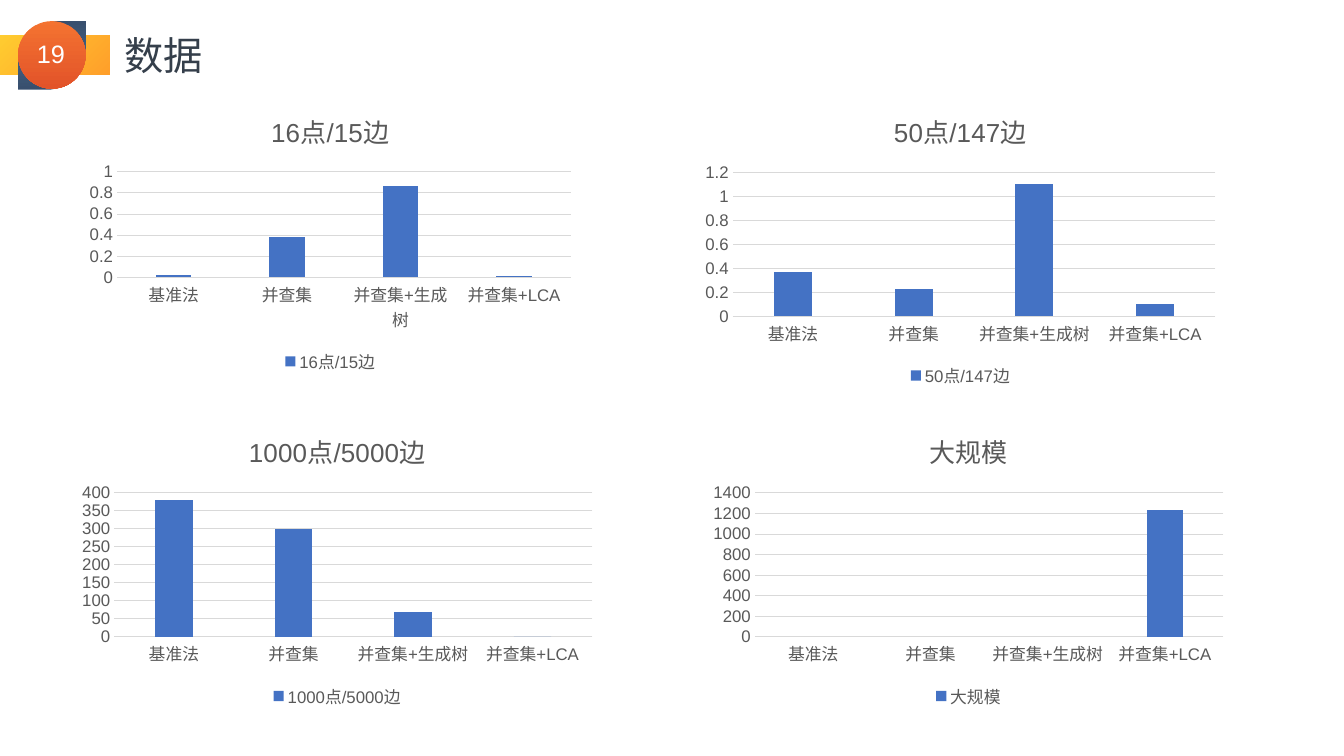
import pptx
import pptx.chart.data
import pptx.dml.color
import pptx.enum.chart
import pptx.enum.shapes
import pptx.enum.text
import pptx.oxml.ns
import pptx.util
from lxml import etree

Inches = pptx.util.Inches
Pt = pptx.util.Pt
Shape = pptx.enum.shapes.MSO_SHAPE
Align = pptx.enum.text.PP_ALIGN


def color(value):
    return pptx.dml.color.RGBColor.from_string(value)


class DataSlide:
    LATIN = "Arial"
    CHINESE = "Noto Sans CJK SC"
    TITLE = "353F4B"
    CHART_TEXT = "595959"
    GRID = "D9D9D9"
    BAR = "4472C4"

    def __init__(self, presentation):
        self.slide = presentation.slides.add_slide(presentation.slide_layouts[5])

    def style_font(self, font, size, ink, name=LATIN):
        font.size = Pt(size)
        font.name = name
        font.bold = False
        font.color.rgb = color(ink)

    def set_text(self, holder, box, text, size, ink, name, align):
        holder.left, holder.top, holder.width, holder.height = map(Inches, box)
        frame = holder.text_frame
        frame.word_wrap = False
        frame.auto_size = pptx.enum.text.MSO_AUTO_SIZE.NONE
        frame.vertical_anchor = pptx.enum.text.MSO_ANCHOR.MIDDLE
        paragraph = frame.paragraphs[0]
        paragraph.alignment = align
        run = paragraph.add_run()
        run.text = text
        self.style_font(run.font, size, ink, name)
        east_asian = etree.SubElement(run.font._element, pptx.oxml.ns.qn("a:ea"))
        east_asian.set("typeface", self.CHINESE)

    def title(self, box, text):
        self.set_text(self.slide.shapes.title, box, text, 28, self.TITLE, self.CHINESE, Align.LEFT)

    def page_number(self, box, text):
        holder = self.slide.shapes.add_textbox(*map(Inches, box))
        self.set_text(holder, box, text, 18, "FFFFFF", self.LATIN, Align.CENTER)

    def group(self):
        return self.slide.shapes.add_group_shape().shapes

    def gradient_shape(self, shapes, kind, box, colors, angle, rotation=0):
        shape = shapes.add_shape(kind, *map(Inches, box))
        shape.rotation = rotation
        shape.shadow.inherit = False
        shape.line.fill.background()
        shape.fill.gradient()
        shape.fill.gradient_angle = 360 - angle
        for stop, value in zip(shape.fill.gradient_stops, colors):
            stop.color.rgb = color(value)

    def column_chart(self, box, name, categories, values):
        data = pptx.chart.data.CategoryChartData()
        data.categories = categories
        data.add_series(name, values)
        kind = pptx.enum.chart.XL_CHART_TYPE.COLUMN_CLUSTERED
        chart = self.slide.shapes.add_chart(kind, *map(Inches, box), data).chart
        self.style_font(chart.font, 10, "000000")

        heading = chart.chart_title.text_frame.paragraphs[0].add_run()
        heading.text = name
        self.style_font(heading.font, 18.6, self.CHART_TEXT)

        chart.has_legend = True
        chart.legend.position = pptx.enum.chart.XL_LEGEND_POSITION.BOTTOM
        chart.legend.include_in_layout = False
        self.style_font(chart.legend.font, 12, self.CHART_TEXT)

        for axis in (chart.category_axis, chart.value_axis):
            axis.major_tick_mark = pptx.enum.chart.XL_TICK_MARK.NONE
            axis.minor_tick_mark = pptx.enum.chart.XL_TICK_MARK.NONE
            self.style_font(axis.tick_labels.font, 12, self.CHART_TEXT)
        chart.value_axis.format.line.fill.background()
        chart.value_axis.has_major_gridlines = True
        for line in (chart.category_axis.format.line, chart.value_axis.major_gridlines.format.line):
            line.color.rgb = color(self.GRID)
            line.width = Pt(0.75)

        plot = chart.plots[0]
        plot.gap_width = 219
        plot.overlap = -27
        plot.vary_by_categories = False
        fill = plot.series[0].format.fill
        fill.solid()
        fill.fore_color.rgb = color(self.BAR)


def main():
    presentation = pptx.Presentation()
    presentation.slide_width = Inches(13.33)
    presentation.slide_height = Inches(7.5)
    page = DataSlide(presentation)

    ribbon = ("FFCC30", "FF9F2A")
    navy = ("384F6E", "4A6C90")
    orange = ("F47331", "E25329")
    page.gradient_shape(page.slide.shapes, Shape.RECTANGLE, (0, 0.35, 1.09, 0.39), ribbon, 45)
    badge = page.group()
    page.gradient_shape(badge, Shape.TEAR, (0.28, 0.21, 0.58, 0.58), navy, 90)
    page.gradient_shape(badge, Shape.TEAR, (0.18, 0.31, 0.58, 0.58), navy, 90, 180)
    page.gradient_shape(badge, Shape.OVAL, (0.18, 0.21, 0.67, 0.67), orange, 90)
    page.page_number((0.25, 0.33, 0.51, 0.4), "19")
    page.title((1.13, 0.26, 0.99, 0.57), "数据")

    methods = ("基准法", "并查集", "并查集+生成树", "并查集+LCA")
    timings = (
        ((0.79, 0.92, 4.97, 2.83), "16点/15边", (0.02, 0.38, 0.87, 0.01)),
        ((6.89, 0.92, 5.27, 2.97), "50点/147边", (0.37, 0.23, 1.1, 0.1)),
        ((0.71, 4.1, 5.27, 2.97), "1000点/5000边", (380, 300, 70, 0)),
        ((6.97, 4.1, 5.27, 2.97), "大规模", (None, None, None, 1230)),
    )
    for box, scale, values in timings:
        page.column_chart(box, scale, methods, values)

    presentation.save("out.pptx")


if __name__ == "__main__":
    main()
